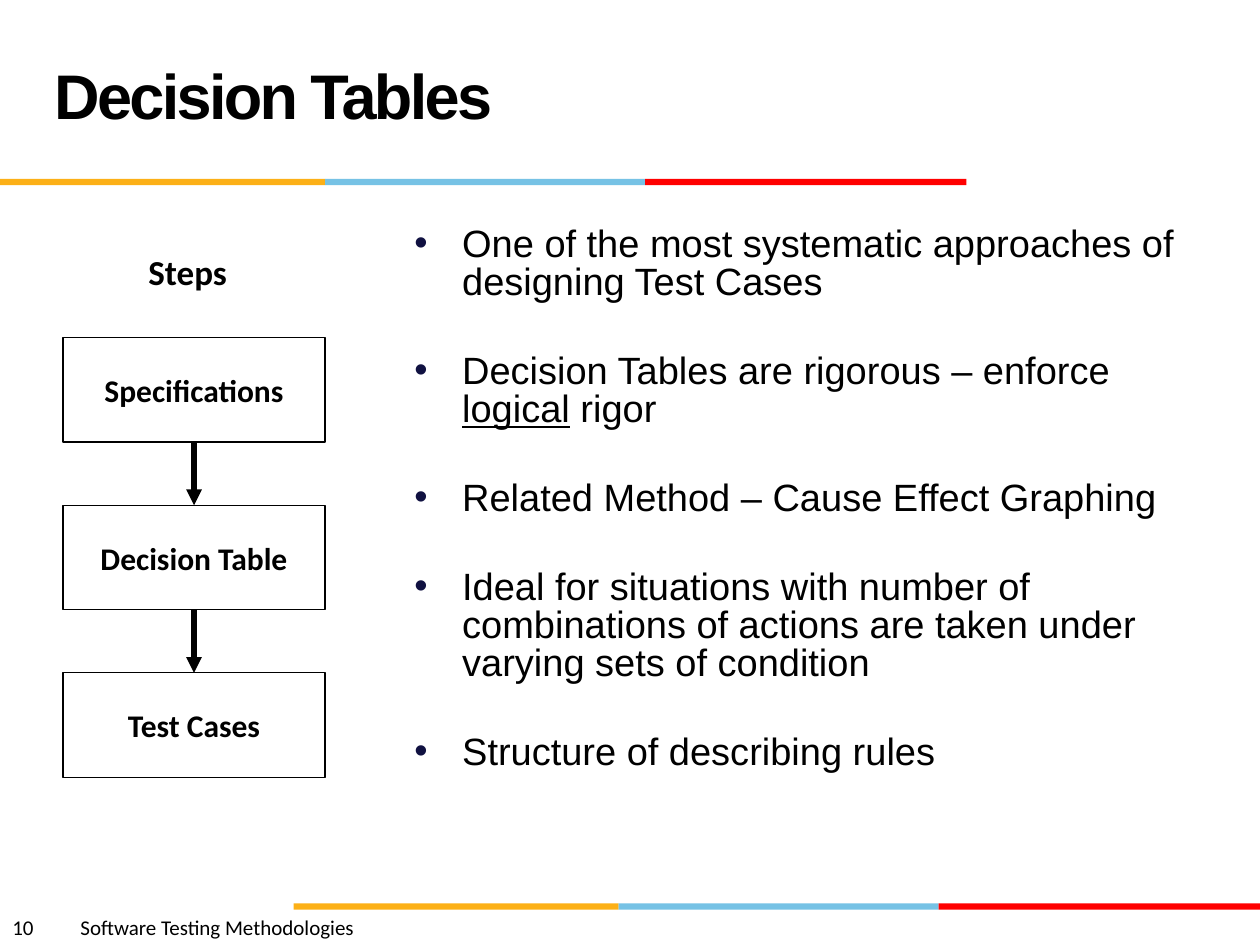
from dataclasses import dataclass
from itertools import pairwise

from pptx import Presentation
from pptx.dml.color import RGBColor as Rgb
from pptx.enum.shapes import MSO_CONNECTOR as Link, MSO_SHAPE as Form
from pptx.enum.text import MSO_ANCHOR as Anchor, PP_ALIGN as Align
from pptx.oxml import parse_xml
from pptx.oxml.ns import nsdecls
from pptx.slide import Slide
from pptx.text.text import Font
from pptx.util import Inches, Pt


@dataclass(frozen=True)
class Theme:
    ink: str = "000000"
    paper: str = "FFFFFF"
    gold: str = "FCB017"
    sky: str = "76C2E5"
    red: str = "FF0000"
    dot: str = "101141"
    head: str = "Arial"
    body: str = "Calibri"
    title: float = 36
    bullet: float = 21.7
    steps: float = 20
    step: float = 18
    foot: float = 12


@dataclass(frozen=True)
class Area:
    left: float
    top: float
    width: float
    height: float

    def emu(self) -> list[int]:
        return [Inches(v) for v in (self.left, self.top, self.width, self.height)]


@dataclass(frozen=True)
class Bullet:
    text: str
    under: str = ""  # word to underline


THEME = Theme()
WIDE, HIGH = 10, 7.5
BANDS = ((THEME.gold, 2.58), (THEME.sky, 2.54), (THEME.red, 2.55))
STEPS = ("Specifications", "Decision Table", "Test Cases")
FIRST, PITCH = Area(0.5, 2.68, 2.08, 0.83), 1.33
BULLETS = (
    Bullet("One of the most systematic approaches of designing Test Cases"),
    Bullet("Decision Tables are rigorous – enforce logical rigor", "logical"),
    Bullet("Related Method – Cause Effect Graphing"),
    Bullet("Ideal for situations with number of combinations of actions "
           "are taken under varying sets of condition"),
    Bullet("Structure of describing rules"),
)


def style(font: Font, name: str, size: float, bold: bool = False) -> None:
    font.name, font.size, font.bold = name, Pt(size), bold
    font.color.rgb = Rgb.from_string(THEME.ink)


def add_rect(slide: Slide, area: Area, fill: str):
    rect = slide.shapes.add_shape(Form.RECTANGLE, *area.emu())
    rect.shadow.inherit = False
    rect.fill.solid()
    rect.fill.fore_color.rgb = Rgb.from_string(fill)
    rect.line.fill.background()
    return rect


def add_bands(slide: Slide, left: float, top: float) -> None:
    for color, width in BANDS:
        add_rect(slide, Area(left, top, width, 0.05), color)
        left += width


def add_label(slide: Slide, area: Area, text: str, size: float, bold: bool):
    box = slide.shapes.add_textbox(*area.emu())
    box.text_frame.text = text
    para = box.text_frame.paragraphs[0]
    style(para.runs[0].font, THEME.body, size, bold)
    return para


def add_step(slide: Slide, row: int, text: str):
    area = Area(FIRST.left, FIRST.top + row * PITCH, FIRST.width, FIRST.height)
    box = add_rect(slide, area, THEME.paper)
    box.line.color.rgb = Rgb.from_string(THEME.ink)
    box.line.width = Pt(0.75)
    frame = box.text_frame
    frame.word_wrap, frame.vertical_anchor = False, Anchor.MIDDLE
    frame.text = text
    para = frame.paragraphs[0]
    para.alignment = Align.CENTER
    style(para.runs[0].font, THEME.body, THEME.step, True)
    return box


def add_arrow(slide: Slide, start, end) -> None:
    arrow = slide.shapes.add_connector(Link.STRAIGHT, 0, 0, 0, 0)
    arrow.begin_connect(start, 2)
    arrow.end_connect(end, 0)
    arrow.line.color.rgb = Rgb.from_string(THEME.ink)
    arrow.line.width = Pt(3)
    arrow.line._get_or_add_ln().append(
        parse_xml(f'<a:tailEnd {nsdecls("a")} type="triangle"/>'))
    arrow._element.spPr.append(parse_xml(f'<a:effectLst {nsdecls("a")}/>'))


def add_bullets(slide: Slide, area: Area) -> None:
    frame = slide.shapes.add_textbox(*area.emu()).text_frame
    frame.word_wrap = True
    for row, item in enumerate(BULLETS):
        para = frame.add_paragraph() if row else frame.paragraphs[0]
        props = para._p.get_or_add_pPr()
        props.set("marL", str(Inches(0.38)))
        props.set("indent", str(-Inches(0.38)))
        para.line_spacing = 0.84
        para.space_before = Pt(28.8 if row else 0)
        for part in (
            f'<a:buClr {nsdecls("a")}><a:srgbClr val="{THEME.dot}"/></a:buClr>',
            f'<a:buFont {nsdecls("a")} typeface="{THEME.head}"/>',
            f'<a:buChar {nsdecls("a")} char="•"/>',
        ):
            props.append(parse_xml(part))
        parts = item.text.partition(item.under) if item.under else (item.text,)
        for text in parts:
            run = para.add_run()
            run.text = text
            style(run.font, THEME.head, THEME.bullet)
            if text == item.under:
                run.font.underline = True


def set_title(slide: Slide, area: Area, text: str) -> None:
    title = slide.shapes.title
    title.left, title.top, title.width, title.height = area.emu()
    frame = title.text_frame
    frame.text, frame.vertical_anchor = text, Anchor.MIDDLE
    para = frame.paragraphs[0]
    para.alignment, para.line_spacing = Align.LEFT, Pt(36)
    font = para.runs[0].font
    style(font, THEME.head, THEME.title, True)
    font._element.set("spc", "-150")


def add_footer(slide: Slide) -> None:
    para = add_label(slide, Area(0, 7.21, WIDE / 2, 0.3),
                     "10\tSoftware Testing Methodologies", THEME.foot, False)
    para._p.get_or_add_pPr().append(parse_xml(
        f'<a:tabLst {nsdecls("a")}><a:tab pos="{Inches(0.54)}" algn="l"/></a:tabLst>'))


def main() -> None:
    deck = Presentation()
    deck.slide_width, deck.slide_height = Inches(WIDE), Inches(HIGH)
    slide = deck.slides.add_slide(deck.slide_layouts[5])
    add_bands(slide, 0, 1.42)
    add_bands(slide, WIDE - sum(width for _, width in BANDS), 7.17)
    add_footer(slide)
    add_bullets(slide, Area(3.19, 1.75, 6.64, 4.95))
    set_title(slide, Area(0.33, 0.17, 6.92, 1.25), "Decision Tables")
    add_label(slide, Area(1.08, 1.94, 0.83, 0.44), "Steps", THEME.steps, True)
    boxes = [add_step(slide, row, text) for row, text in enumerate(STEPS)]
    for start, end in pairwise(boxes):
        add_arrow(slide, start, end)
    deck.save("out.pptx")


if __name__ == "__main__":
    main()
